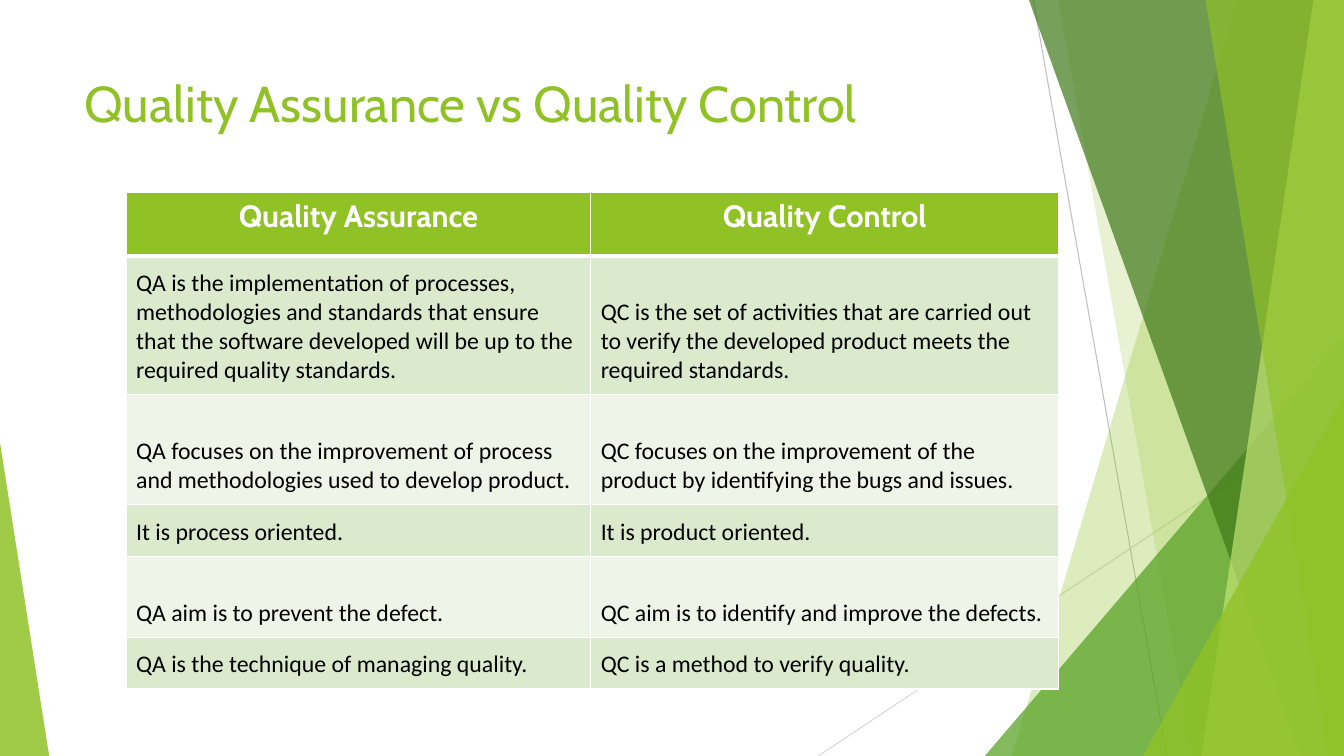
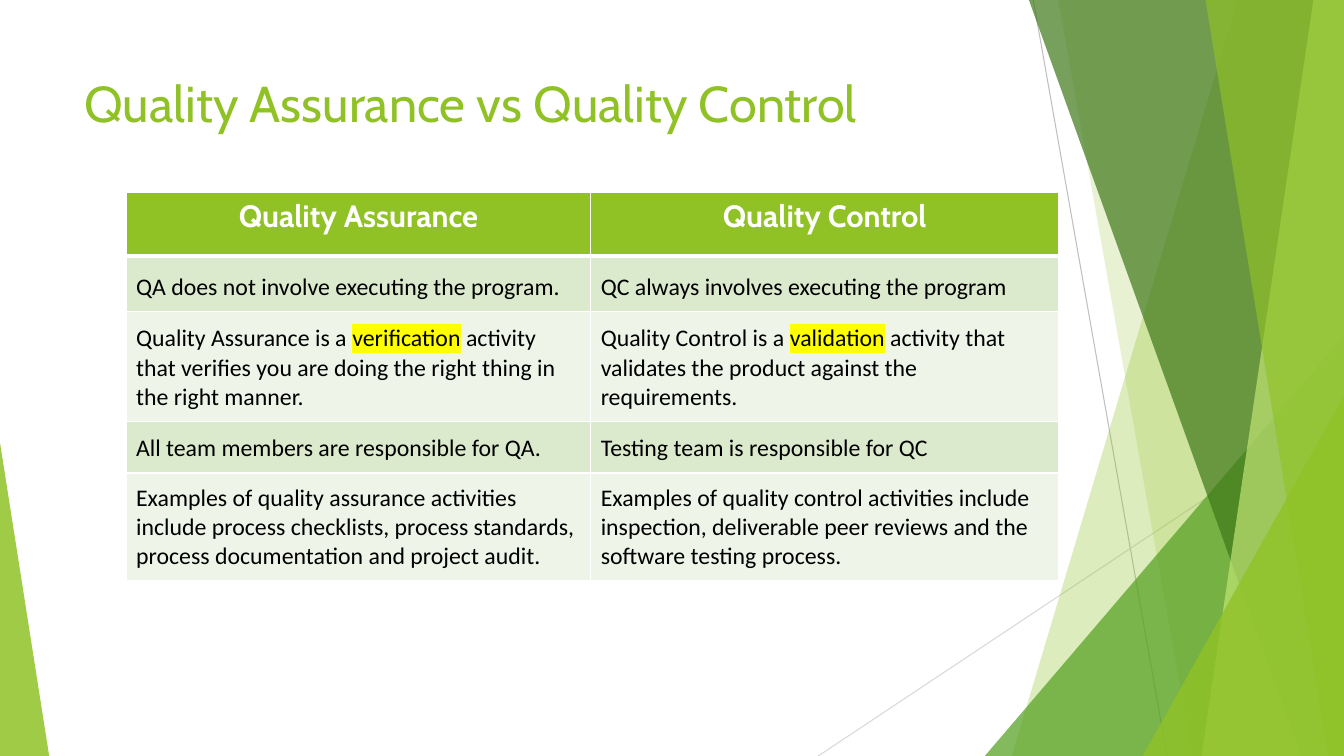
from pptx import Presentation
from pptx.dml.color import RGBColor
from pptx.enum.shapes import MSO_CONNECTOR, MSO_SHAPE
from pptx.enum.text import MSO_ANCHOR, PP_ALIGN
from pptx.oxml.ns import qn
from pptx.oxml.xmlchemy import OxmlElement
from pptx.util import Cm, Pt

GREEN, WHITE = "90C226", "FFFFFF"
BAND_FILLS = ["DBE9CD", "EEF4E8"]
HEADING_FONT = {"name": "Cabin", "size": Pt(36), "bold": False}
HEADER_FONT = {"name": "Cabin", "size": Pt(22), "bold": True}
BODY_FONT = {"name": "Calibri", "size": Pt(17), "bold": False}
HEADING = "Quality Assurance vs Quality Control"
COLUMNS = ["Quality Assurance", "Quality Control"]
COLUMN_WIDTHS = [11.71, 11.79]
HEADER_HEIGHT = 1.6
WIDTH, HEIGHT = 33.87, 19.05

# Panels: x of the slanted left edge at top and bottom.
# Triangles: left, top, width, apex position.
FACETS = [
    ("panel", (31.19, 25.5), GREEN, 30),
    ("panel", (26.67, 30.05), GREEN, 20),
    ("triangle", (24.82, 8.46, WIDTH - 24.82, 1), "54A021", 72),
    ("panel", (25.93, 32.79), "3F7819", 70),
    ("panel", (33.1, 30.28), "C0E474", 70),
    ("panel", (30.38, 33.48), GREEN, 65),
    ("triangle", (28.8, 9.98, WIDTH - 28.8, 1), GREEN, 80),
    ("triangle", (0, 11.15, 1.24, 0), GREEN, 85),
]
HAIRLINES = [
    ((26.04, 0), (29.41, HEIGHT), "BFBFBF"),
    ((WIDTH, 10.24), (20.62, HEIGHT), "D9D9D9"),
]

# Each row: height, QA text, QC text. Words between asterisks are highlighted.
COMPARISONS = [
    [
        (3.5,
         "QA is the implementation of processes, methodologies and standards that "
         "ensure that the software developed will be up to the required quality standards.",
         "QC is the set of activities that are carried out to verify the developed "
         "product meets the required standards."),
        (2.77,
         "QA focuses on the improvement of process and methodologies used to develop product.",
         "QC focuses on the improvement of the product by identifying the bugs and issues."),
        (1.3, "It is process oriented.", "It is product oriented."),
        (2.04, "QA aim is to prevent the defect.",
         "QC aim is to identify and improve the defects."),
        (1.3, "QA is the technique of managing quality.",
         "QC is a method to verify quality."),
    ],
    [
        (1.4, "QA does not involve executing the program.",
         "QC always involves executing the program"),
        (2.77,
         "Quality Assurance is a *verification* activity that verifies you are doing "
         "the right thing in the right manner.",
         "Quality Control is a *validation* activity that validates the product "
         "against the requirements."),
        (1.3, "All team members are responsible for QA.",
         "Testing team is responsible for QC"),
        (2.72,
         "Examples of quality assurance activities include process checklists, "
         "process standards, process documentation and project audit.",
         "Examples of quality control activities include inspection, deliverable "
         "peer reviews and the software testing process."),
    ],
]


def color(hex_value):
    return RGBColor.from_string(hex_value)


def write(paragraph, text, font_format, hex_value):
    """Add the text as runs, highlighting the parts between asterisks."""
    for index, part in enumerate(text.split("*")):
        run = paragraph.add_run()
        run.text = part
        for attribute, value in font_format.items():
            setattr(run.font, attribute, value)
        run.font.color.rgb = color(hex_value)
        if index % 2:
            highlight = OxmlElement("a:highlight")
            marker = OxmlElement("a:srgbClr")
            marker.set("val", "FFFF00")
            highlight.append(marker)
            run.font.fill._xPr.find(qn("a:solidFill")).addnext(highlight)


deck = Presentation()
deck.slide_width, deck.slide_height = Cm(WIDTH), Cm(HEIGHT)
blank = deck.slide_layouts[6]
for placeholder in list(blank.placeholders):
    placeholder.element.getparent().remove(placeholder.element)
slides = [deck.slides.add_slide(blank) for _ in COMPARISONS]

# The backdrop is drawn once and moved to the layout that the slides share.
backdrop = slides[0].shapes
for start, end, line_color in HAIRLINES:
    hairline = backdrop.add_connector(
        MSO_CONNECTOR.STRAIGHT, *(Cm(value) for value in start + end))
    hairline.line.color.rgb = color(line_color)
    hairline.line.width = Pt(0.75)
    hairline.element.spPr.append(OxmlElement("a:effectLst"))

for kind, geometry, fill_color, opacity in FACETS:
    if kind == "panel":
        top_x, bottom_x = geometry
        outline = backdrop.build_freeform(Cm(top_x), 0)
        outline.add_line_segments(
            [(Cm(WIDTH), 0), (Cm(WIDTH), Cm(HEIGHT)), (Cm(bottom_x), Cm(HEIGHT))])
        facet = outline.convert_to_shape()
    else:
        left, top, width, apex = geometry
        facet = backdrop.add_shape(MSO_SHAPE.ISOSCELES_TRIANGLE,
                                   Cm(left), Cm(top), Cm(width), Cm(HEIGHT - top))
        facet.adjustments[0] = apex
    facet.shadow.inherit = False
    facet.line.fill.background()
    facet.fill.solid()
    facet.fill.fore_color.rgb = color(fill_color)
    alpha = OxmlElement("a:alpha")
    alpha.set("val", str(opacity * 1000))
    facet.element.spPr.find(qn("a:solidFill"))[0].append(alpha)

for part in list(backdrop):
    blank.shapes.element.append(part.element)

for slide, comparison in zip(slides, COMPARISONS):
    heading = slide.shapes.add_textbox(Cm(1.88), Cm(1.7), Cm(23.88), Cm(2.18))
    heading.text_frame.word_wrap = True
    write(heading.text_frame.paragraphs[0], HEADING, HEADING_FONT, GREEN)

    rows = [(HEADER_HEIGHT, *COLUMNS)] + comparison
    table = slide.shapes.add_table(
        len(rows), len(COLUMNS), Cm(3.18), Cm(4.85),
        Cm(sum(COLUMN_WIDTHS)), Cm(sum(row[0] for row in rows))).table
    for column, width in zip(table.columns, COLUMN_WIDTHS):
        column.width = Cm(width)

    for row_index, (height, *texts) in enumerate(rows):
        table.rows[row_index].height = Cm(height)
        is_header = row_index == 0
        for column_index, text in enumerate(texts):
            cell = table.cell(row_index, column_index)
            paragraph = cell.text_frame.paragraphs[0]
            cell.fill.solid()
            if is_header:
                cell.fill.fore_color.rgb = color(GREEN)
                paragraph.alignment = PP_ALIGN.CENTER
                write(paragraph, text, HEADER_FONT, WHITE)
            else:
                cell.fill.fore_color.rgb = color(BAND_FILLS[(row_index - 1) % 2])
                cell.vertical_anchor = MSO_ANCHOR.BOTTOM
                for side in ("left", "top", "right", "bottom"):
                    setattr(cell, f"margin_{side}", Cm(0.25))
                write(paragraph, text, BODY_FONT, "000000")

            properties = cell._tc.get_or_add_tcPr()
            for position, side in enumerate("LRTB"):
                under_header = (side == "B" and is_header) or (side == "T" and row_index == 1)
                border = OxmlElement(f"a:ln{side}")
                border.set("w", str(Pt(3 if under_header else 1)))
                solid = OxmlElement("a:solidFill")
                border_color = OxmlElement("a:srgbClr")
                border_color.set("val", WHITE)
                solid.append(border_color)
                border.append(solid)
                properties.insert(position, border)

deck.save("out.pptx")
